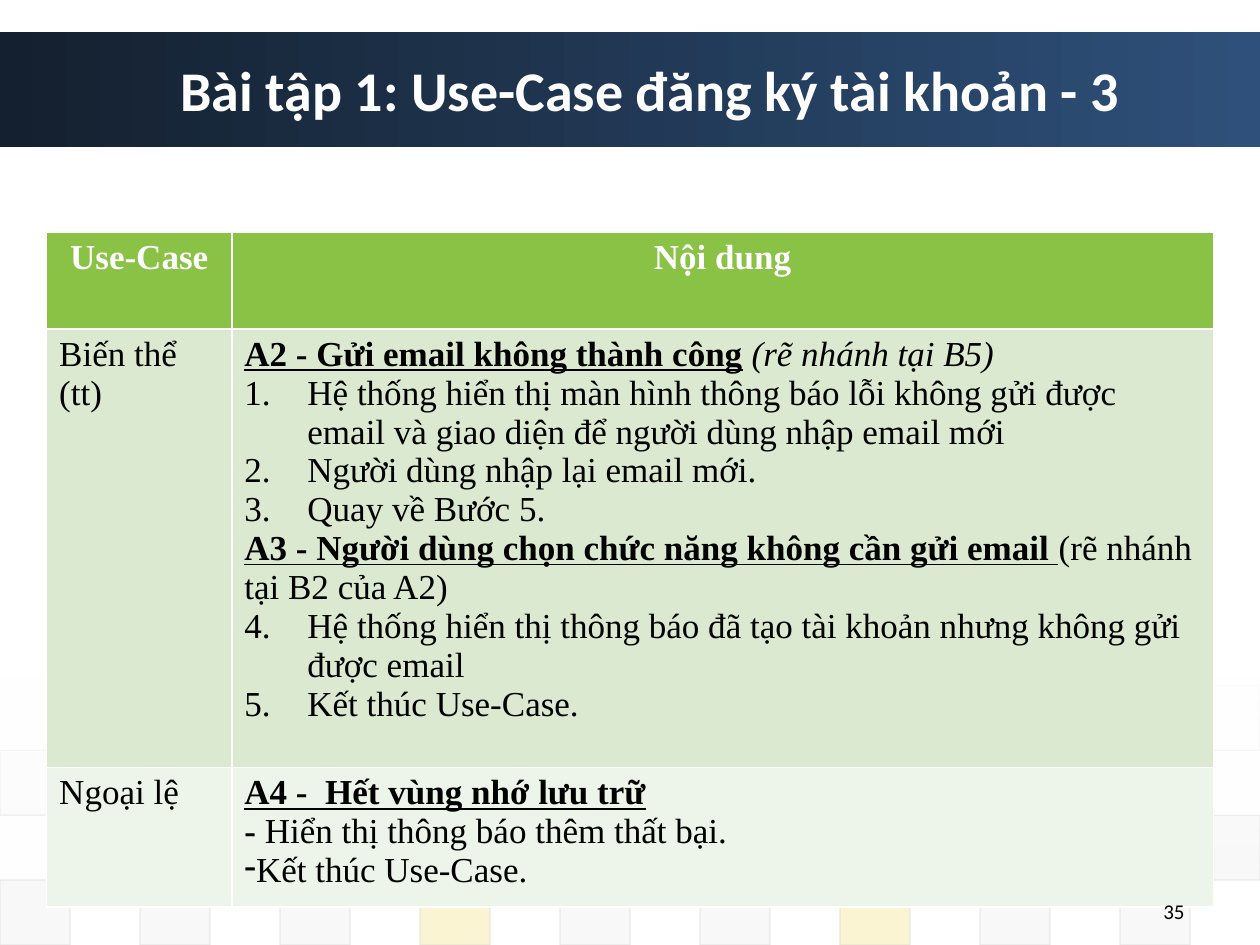
import pptx
import pptx.util
from pptx.dml.color import RGBColor
from pptx.enum.shapes import MSO_SHAPE
from pptx.enum.text import MSO_ANCHOR, MSO_AUTO_SIZE, PP_ALIGN
from pptx.oxml.ns import qn
from pptx.util import Inches
from lxml import etree

COLORS = {
    "navy": "14202F", "blue": "2E507A", "white": "FFFFFF", "black": "000000",
    "green": "8AC246", "yellow": "EFC821", "gray": "DDDDDD", "pale": "EAEAEA",
    "band1": "DAE9CF", "band2": "EDF4E9",
}
# One row of tiles per entry: opacity in percent, then one letter per tile
TILE_ROWS = [(5, "yppydypgp"), (10, "ddddgdddy"), (20, "dgddddgdd"), (20, "dddyddydd")]
TILE_COLORS = {"y": "yellow", "p": "pale", "d": "gray", "g": "green"}

# A paragraph is (kind, runs); a run is (text, styles) with styles from b, i, u
VARIANTS = [
    ("", [("A2 - Gửi email không thành công", "bu"), (" ", "bi"), ("(rẽ nhánh tại B5)", "i")]),
    ("1", [("Hệ thống hiển thị màn hình thông báo lỗi không gửi được email "
            "và giao diện để người dùng nhập email mới", "")]),
    ("1", [("Người dùng nhập lại email mới.", "")]),
    ("1", [("Quay về Bước 5.", "")]),
    ("", [("A3 - Người dùng chọn chức năng không cần gửi email ", "bu"),
          ("(rẽ nhánh tại B2 của A2)", "")]),
    ("4", [("Hệ thống hiển thị thông báo đã tạo tài khoản nhưng không gửi được email", "")]),
    ("4", [("Kết thúc Use-Case.", "")]),
]
EXCEPTIONS = [
    ("", [("A4 -  Hết vùng nhớ lưu trữ", "bu")]),
    ("", [("- ", "b"), ("Hiển thị thông báo thêm thất bại.", "")]),
    ("-", [("Kết thúc Use-Case.", "")]),
]
ROWS = [
    ("green", [("", [("Use-Case", "b")])], [("", [("Nội dung", "b")])]),
    ("band1", [("", [("Biến thể", "")]), ("", [("(tt)", "")])], VARIANTS),
    ("band2", [("", [("Ngoại lệ", "")])], EXCEPTIONS),
]


def rgb(name):
    return RGBColor.from_string(COLORS[name])


def set_alpha(color_parent, percent):
    """Set the opacity of the colour inside a fill, line or gradient stop."""
    color = next(color_parent.iter(qn("a:srgbClr")))
    etree.SubElement(color, qn("a:alpha"), val=str(percent * 1000))


def add_rect(s, x, y, w, h):
    sp = s.shapes.add_shape(MSO_SHAPE.RECTANGLE, Inches(x), Inches(y), Inches(w), Inches(h))
    sp.shadow.inherit = False
    return sp


def add_gradient(s, box, angle, start, end):
    sp = add_rect(s, *box)
    sp.line.fill.background()
    sp.fill.gradient()
    sp.fill.gradient_angle = angle
    for stop, name in zip(sp.fill.gradient_stops, (start, end)):
        stop.color.rgb = rgb(name)
    return sp


def add_tiles(s, x, y, w, h):
    """Checkerboard of tiles that fades to white at the top."""
    col_w, row_h = w / 18, h / len(TILE_ROWS)
    for row, (opacity, letters) in enumerate(TILE_ROWS):
        for i, letter in enumerate(letters):
            col = 2 * i + (row + 1) % 2
            sp = add_rect(s, x + col * col_w, y + row * row_h, col_w, row_h)
            sp.fill.solid()
            sp.fill.fore_color.rgb = rgb(TILE_COLORS[letter])
            set_alpha(sp._element.spPr.find(qn("a:solidFill")), opacity)
            sp.line.color.rgb = rgb("gray")
            sp.line.width = pptx.util.Pt(0.75)
            set_alpha(sp._element.spPr.find(qn("a:ln")), 60)
    fade = add_gradient(s, (0, y - 0.07, 10, 1.62), 270, "white", "white")
    for stop, opacity in zip(fade._element.iter(qn("a:gs")), (90, 0)):
        set_alpha(stop, opacity)


def add_header(s, x, y, w, h):
    add_gradient(s, (x, y, w, h), 0, "navy", "blue")
    title = s.shapes.title
    s.shapes._spTree.append(title._element)  # in front of the banner
    title.left, title.top = Inches(x + 1.33), Inches(y)
    title.width, title.height = Inches(w - 1.35), Inches(h)
    tf = title.text_frame
    tf.text = "Bài tập 1: Use-Case đăng ký tài khoản - 3"
    tf.auto_size = MSO_AUTO_SIZE.NONE
    tf.vertical_anchor = MSO_ANCHOR.MIDDLE
    p = tf.paragraphs[0]
    p.alignment = PP_ALIGN.LEFT
    set_font(p.font, "Calibri", 32, "white")
    p.font.bold = True


def set_font(font, name, size, color):
    font.name, font.size = name, pptx.util.Pt(size)
    font.color.rgb = rgb(color)


def set_bullet(p, kind):
    """A dash bullet, or numbering that starts at the given number."""
    pPr = p._p.get_or_add_pPr()
    if kind == "-":
        bullet = etree.Element(qn("a:buChar"), char="-")
    else:
        indent = Inches(0.5)
        pPr.set("marL", str(indent))
        pPr.set("indent", str(-indent))
        bullet = etree.Element(qn("a:buAutoNum"), type="arabicPeriod")
        if kind != "1":
            bullet.set("startAt", kind)
    pPr.insert(0, bullet)


def fill_cell(cell, fill, paragraphs, is_header):
    cell.fill.solid()
    cell.fill.fore_color.rgb = rgb(fill)
    tf = cell.text_frame
    for i, (kind, runs) in enumerate(paragraphs):
        p = tf.add_paragraph() if i else tf.paragraphs[0]
        set_font(p.font, "Times New Roman", 20, "white" if is_header else "black")
        if is_header:
            p.alignment = PP_ALIGN.CENTER
        if kind:
            set_bullet(p, kind)
        for text, styles in runs:
            r = p.add_run()
            r.text = text
            r.font.bold, r.font.italic, r.font.underline = (c in styles for c in "biu")


def add_use_case_table(s, x, y, col_widths, row_heights):
    table = s.shapes.add_table(len(row_heights), len(col_widths), Inches(x), Inches(y),
                               Inches(sum(col_widths)), Inches(sum(row_heights))).table
    for column, width in zip(table.columns, col_widths):
        column.width = Inches(width)
    for i, (row, height) in enumerate(zip(table.rows, row_heights)):
        row.height = Inches(height)
        fill, *contents = ROWS[i]
        for cell, paragraphs in zip(row.cells, contents):
            fill_cell(cell, fill, paragraphs, i == 0)


def add_slide_number(s, x, y, w, h):
    tf = s.shapes.add_textbox(Inches(x), Inches(y), Inches(w), Inches(h)).text_frame
    tf.word_wrap = True
    tf.vertical_anchor = MSO_ANCHOR.MIDDLE
    p = tf.paragraphs[0]
    p.text = "35"
    p.alignment = PP_ALIGN.RIGHT
    set_font(p.font, "Calibri", 12, "black")


def main():
    prs = pptx.Presentation()
    prs.slide_width, prs.slide_height = Inches(10), Inches(7.5)
    s = prs.slides.add_slide(prs.slide_layouts[5])
    add_tiles(s, 0, 5.44, 10, 2.06)
    add_header(s, 0, 0.25, 10, 0.92)
    add_use_case_table(s, 0.37, 1.84, (1.47, 7.79), (0.77, 3.48, 1.11))
    add_slide_number(s, 7.17, 7.07, 2.33, 0.33)
    prs.save("out.pptx")


if __name__ == "__main__":
    main()
